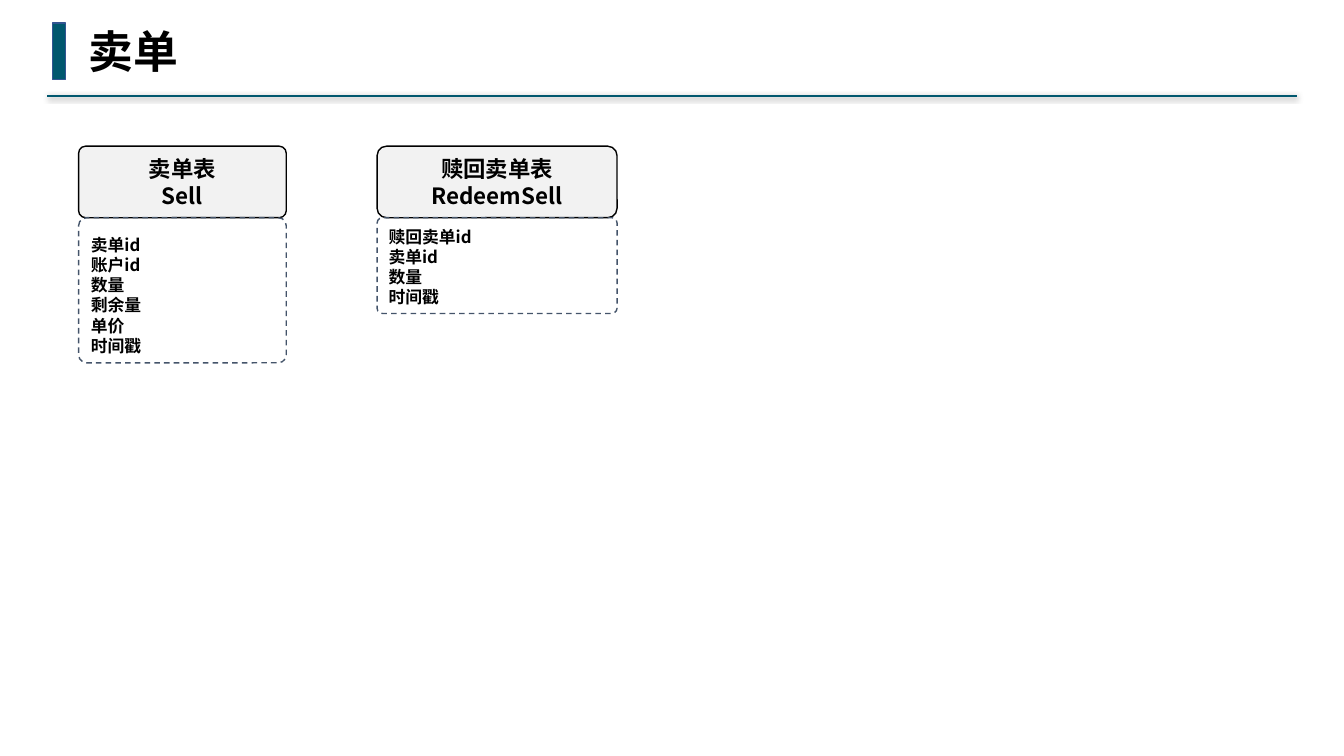
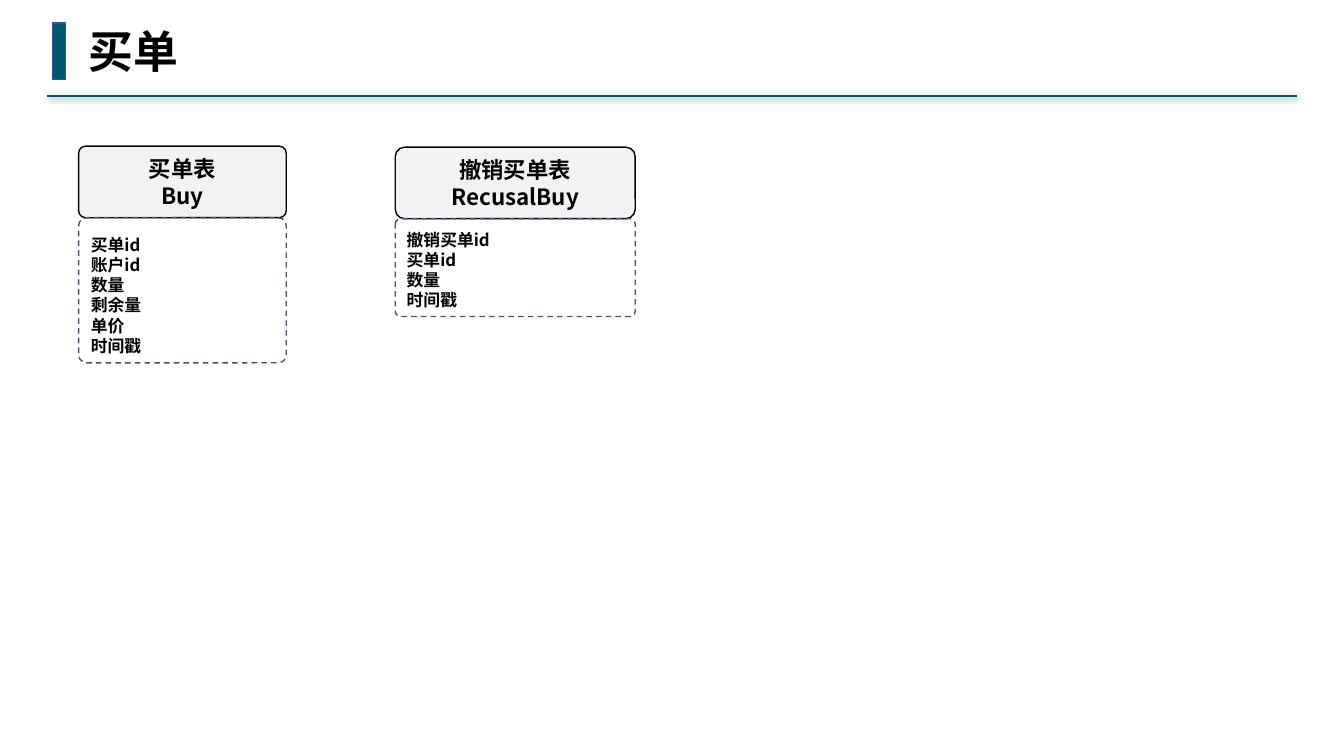
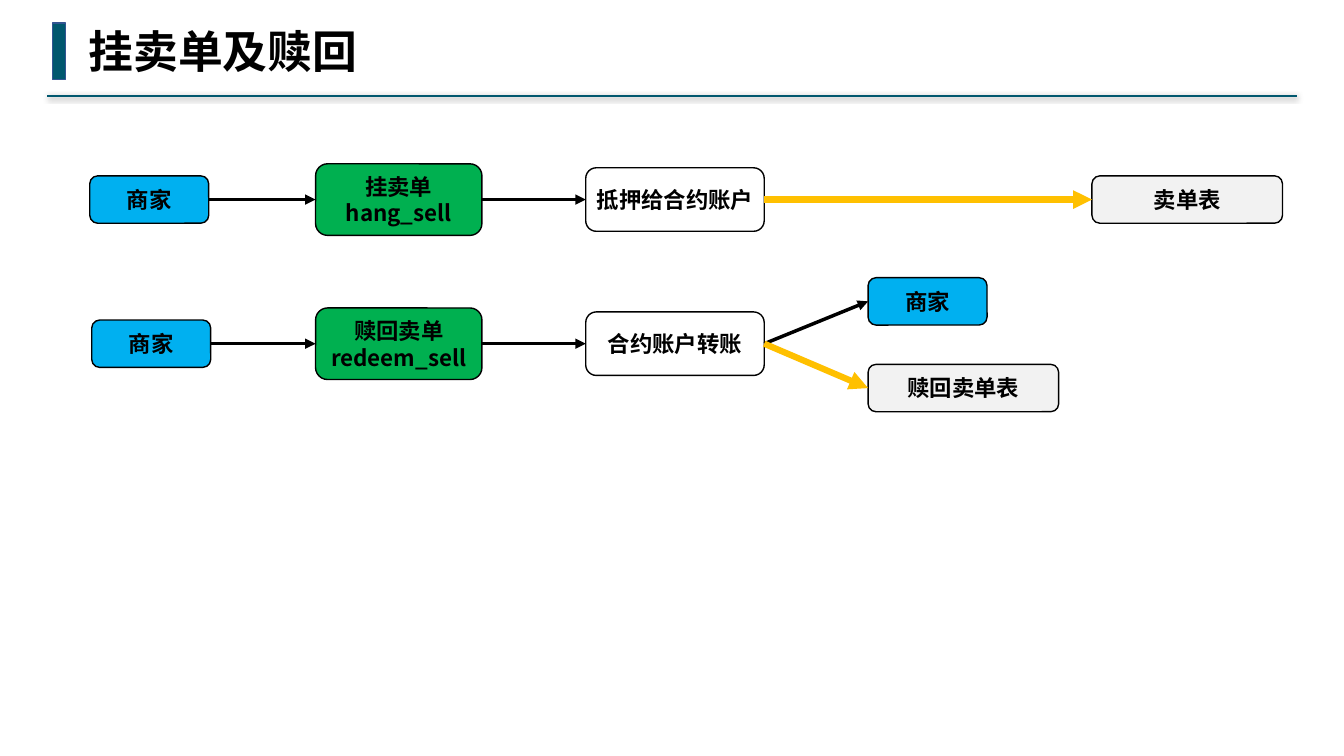
from dataclasses import dataclass

from lxml import etree
from pptx import Presentation
from pptx.dml.color import RGBColor
from pptx.enum.dml import MSO_LINE
from pptx.enum.shapes import MSO_CONNECTOR, MSO_SHAPE
from pptx.enum.text import MSO_ANCHOR, MSO_AUTO_SIZE, PP_ALIGN
from pptx.oxml import parse_xml
from pptx.oxml.ns import nsdecls, qn
from pptx.util import Inches, Pt

RECT, ROUND = MSO_SHAPE.RECTANGLE, MSO_SHAPE.ROUNDED_RECTANGLE
STRAIGHT = MSO_CONNECTOR.STRAIGHT
DASH = MSO_LINE.DASH
LEFT, CENTER = PP_ALIGN.LEFT, PP_ALIGN.CENTER
MIDDLE, BOTTOM = MSO_ANCHOR.MIDDLE, MSO_ANCHOR.BOTTOM
FIT_SHAPE = MSO_AUTO_SIZE.SHAPE_TO_FIT_TEXT
LEFT_SITE, RIGHT_SITE = 1, 3


@dataclass(frozen=True)
class Theme:
    accent: str = "00576E"
    accent_edge: str = "325491"
    ink: str = "000000"
    white: str = "FFFFFF"
    table: str = "F2F2F2"
    field_edge: str = "44546A"
    merchant: str = "00B0F0"
    action: str = "00B050"
    record: str = "FFC000"
    title_font: str = "Noto Sans Mono"
    body_font: str = "Noto Sans CJK SC"
    title_size: int = 32
    label_size: int = 16
    field_size: int = 12


@dataclass(frozen=True)
class Entity:
    x: float
    y: float
    w: float
    field_h: float
    radius: float
    names: list[str]
    fields: list[str]


@dataclass(frozen=True)
class NodeStyle:
    w: float
    h: float
    fill: str


@dataclass(frozen=True)
class Node:
    kind: str
    x: float
    cy: float
    lines: list[str]


@dataclass(frozen=True)
class Link:
    start: str
    end: str
    records: bool = False


T = Theme()
HEAD_H = 0.71
LABEL_FRAME = {"word_wrap": False, "vertical_anchor": MIDDLE} | {
    f"margin_{side}": Inches(0.04) for side in ("left", "right", "top", "bottom")}
FIELD_FRAME = {"word_wrap": True, "vertical_anchor": BOTTOM}
TITLE_FRAME = {"word_wrap": False, "auto_size": FIT_SHAPE}

NODE_STYLES = {
    "merchant": NodeStyle(1.18, 0.47, T.merchant),
    "action": NodeStyle(1.65, 0.71, T.action),
    "step": NodeStyle(1.77, 0.63, T.white),
    "table": NodeStyle(1.89, 0.47, T.table),
}


# Drawing helpers
def write(shape, lines: list[str], size: int, font: str, align, frame: dict) -> None:
    tf = shape.text_frame
    for name, value in frame.items():
        setattr(tf, name, value)
    for i, line in enumerate(lines):
        p = tf.paragraphs[0] if i == 0 else tf.add_paragraph()
        p.alignment = align
        r = p.add_run()
        r.text = line
        for name, value in {"size": Pt(size), "bold": True, "name": font}.items():
            setattr(r.font, name, value)
        r.font.color.rgb = RGBColor.from_string(T.ink)
        rPr = r.font._element
        rPr.set("lang", "zh-CN")
        etree.SubElement(rPr, qn("a:ea")).set("typeface", font)


def set_line(shape, color: str, width: float) -> None:
    shape.line.color.rgb = RGBColor.from_string(color)
    shape.line.width = Pt(width)


def add_box(s, kind, x: float, y: float, w: float, h: float,
            fill: str | None, edge: str):
    sp = s.shapes.add_shape(kind, Inches(x), Inches(y), Inches(w), Inches(h))
    sp.shadow.inherit = False
    if fill is None:
        sp.fill.background()
    else:
        sp.fill.solid()
        sp.fill.fore_color.rgb = RGBColor.from_string(fill)
    set_line(sp, edge, 1)
    return sp


def add_line(s, x1: float, y1: float, x2: float, y2: float, color: str, width: float):
    """Draw a line without effects and return it with its effect list."""
    line = s.shapes.add_connector(STRAIGHT, Inches(x1), Inches(y1), Inches(x2), Inches(y2))
    set_line(line, color, width)
    effects = etree.SubElement(line._element.spPr, qn("a:effectLst"))
    return line, effects


def add_header(s, title: str) -> None:
    _, effects = add_line(s, 12.86, 0.95, 0.47, 0.95, T.accent, 1.5)
    effects.append(parse_xml(
        f'<a:outerShdw {nsdecls("a")} blurRad="{Pt(4)}" dist="{Pt(1)}" dir="5400000" '
        f'rotWithShape="0"><a:srgbClr val="{T.ink}"><a:alpha val="40000"/>'
        '</a:srgbClr></a:outerShdw>'))
    add_box(s, RECT, 0.52, 0.23, 0.13, 0.56, T.accent, T.accent_edge)
    width = 0.2 + 0.45 * len(title)
    tb = s.shapes.add_textbox(Inches(0.78), Inches(0.19), Inches(width), Inches(0.64))
    write(tb, [title], T.title_size, T.title_font, LEFT, TITLE_FRAME)


def add_entity(s, e: Entity) -> None:
    head = add_box(s, ROUND, e.x, e.y, e.w, HEAD_H, T.table, T.ink)
    head.adjustments[0] = e.radius
    write(head, e.names, T.label_size, T.body_font, CENTER, LABEL_FRAME)
    body = add_box(s, ROUND, e.x, e.y + HEAD_H, e.w, e.field_h, None, T.field_edge)
    body.adjustments[0] = 0.055
    body.line.dash_style = DASH
    write(body, e.fields, T.field_size, T.body_font, LEFT, FIELD_FRAME)


def add_node(s, n: Node):
    style = NODE_STYLES[n.kind]
    sp = add_box(s, ROUND, n.x, n.cy - style.h / 2, style.w, style.h, style.fill, T.ink)
    write(sp, n.lines, T.label_size, T.body_font, CENTER, LABEL_FRAME)
    return sp


def add_link(s, start, end, records: bool) -> None:
    color, width = (T.record, 4.5) if records else (T.ink, 2.5)
    line, _ = add_line(s, 0, 0, 1, 1, color, width)
    line.begin_connect(start, RIGHT_SITE)
    line.end_connect(end, LEFT_SITE)
    etree.SubElement(line.line._get_or_add_ln(), qn("a:tailEnd")).set("type", "triangle")


# Slide content
def order_table(order: str, name: str) -> Entity:
    return Entity(0.78, 1.45, 2.06, 1.44, 0.099, [f"{order}表", name],
                  [f"{order}id", "账户id", "数量", "剩余量", "单价", "时间戳"])


def undo_table(x: float, y: float, field_h: float, verb: str, order: str,
               name: str) -> Entity:
    return Entity(x, y, 2.38, field_h, 0.131, [f"{verb}{order}表", name],
                  [f"{verb}{order}id", f"{order}id", "数量", "时间戳"])


ENTITY_SLIDES = {
    "卖单": [order_table("卖单", "Sell"),
           undo_table(3.74, 1.45, 0.95, "赎回", "卖单", "RedeemSell")],
    "买单": [order_table("买单", "Buy"),
           undo_table(3.92, 1.46, 0.97, "撤销", "买单", "RecusalBuy")],
}

HANG_Y, REDEEM_Y = 1.98, 3.41
NODES = {
    "seller": Node("merchant", 0.89, HANG_Y, ["商家"]),
    "hang": Node("action", 3.13, HANG_Y, ["挂卖单", "hang_sell"]),
    "pledge": Node("step", 5.81, HANG_Y, ["抵押给合约账户"]),
    "sell_table": Node("table", 10.83, HANG_Y, ["卖单表"]),
    "redeemer": Node("merchant", 0.91, REDEEM_Y, ["商家"]),
    "redeem": Node("action", 3.13, REDEEM_Y, ["赎回卖单", "redeem_sell"]),
    "transfer": Node("step", 5.81, REDEEM_Y, ["合约账户转账"]),
    "payee": Node("merchant", 8.61, 2.99, ["商家"]),
    "redeem_table": Node("table", 8.61, 3.85, ["赎回卖单表"]),
}
LINKS = [
    Link("seller", "hang"),
    Link("hang", "pledge"),
    Link("pledge", "sell_table", records=True),
    Link("redeemer", "redeem"),
    Link("redeem", "transfer"),
    Link("transfer", "payee"),
    Link("transfer", "redeem_table", records=True),
]

# Build the presentation
prs = Presentation()
prs.slide_width, prs.slide_height = Inches(13.33), Inches(7.5)
blank = prs.slide_layouts[6]

# Order tables
for title, entities in ENTITY_SLIDES.items():
    s = prs.slides.add_slide(blank)
    add_header(s, title)
    for entity in entities:
        add_entity(s, entity)

# Selling and redeeming flow
s = prs.slides.add_slide(blank)
add_header(s, "挂卖单及赎回")
boxes = {key: add_node(s, node) for key, node in NODES.items()}
for link in LINKS:
    add_link(s, boxes[link.start], boxes[link.end], link.records)

prs.save("out.pptx")
